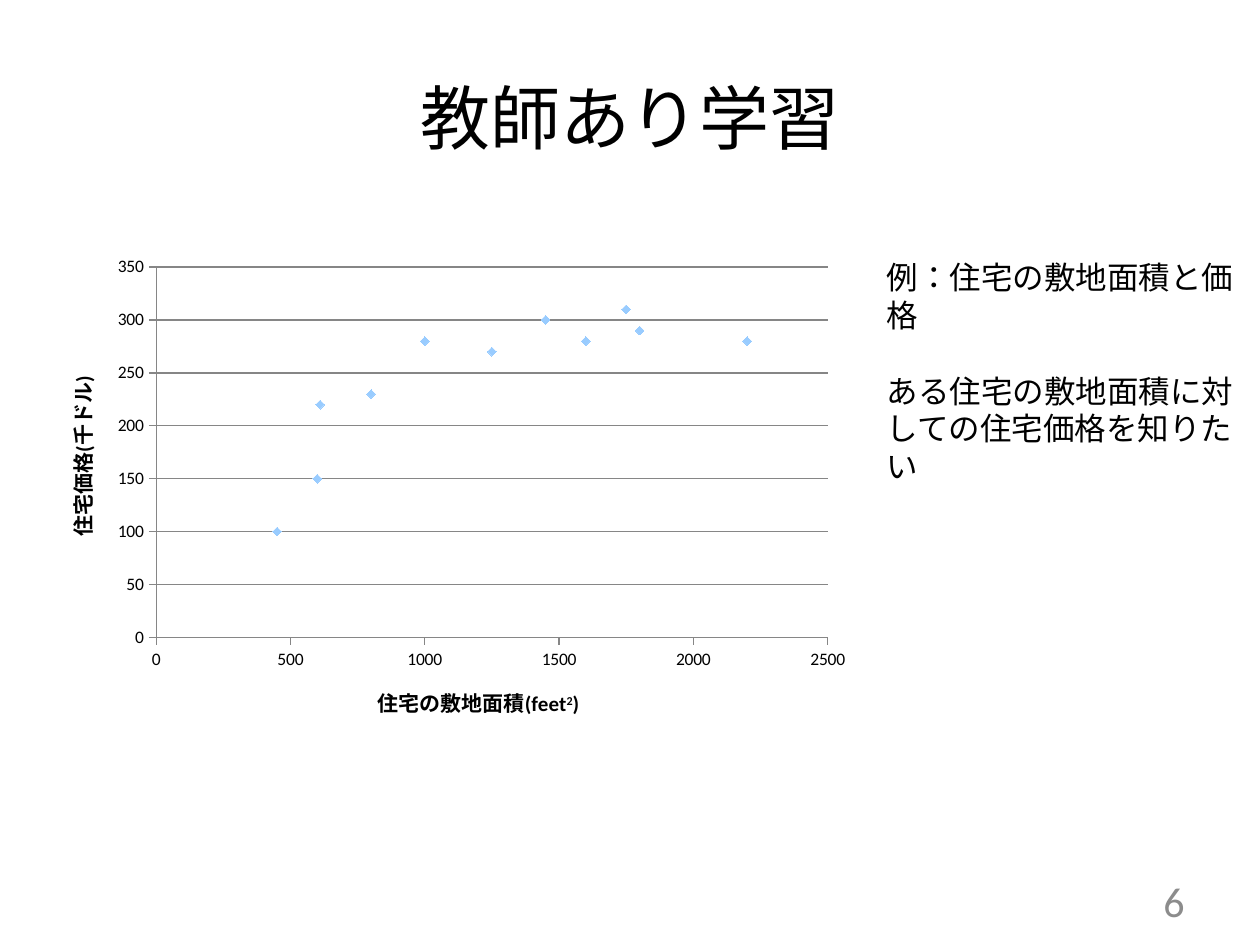
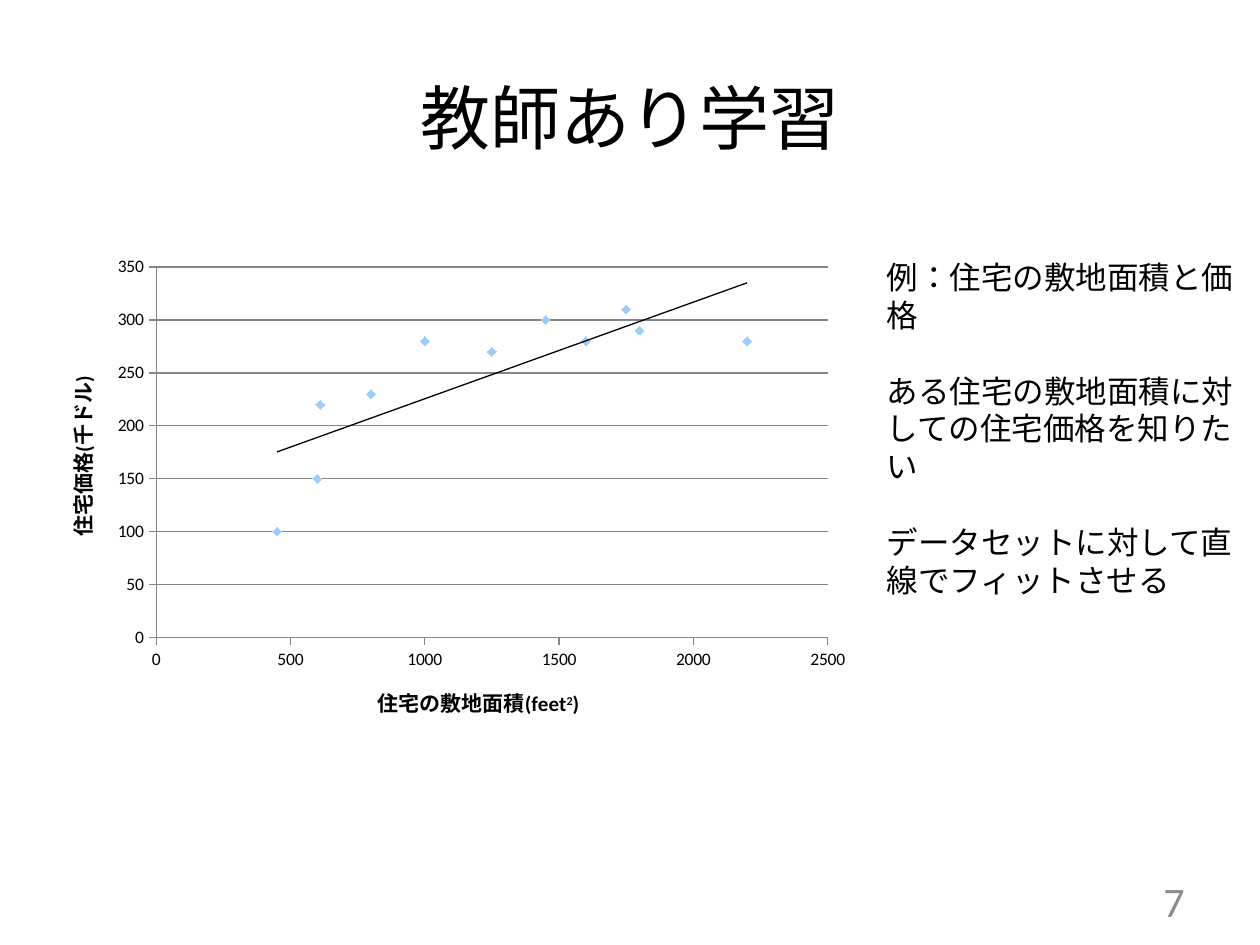
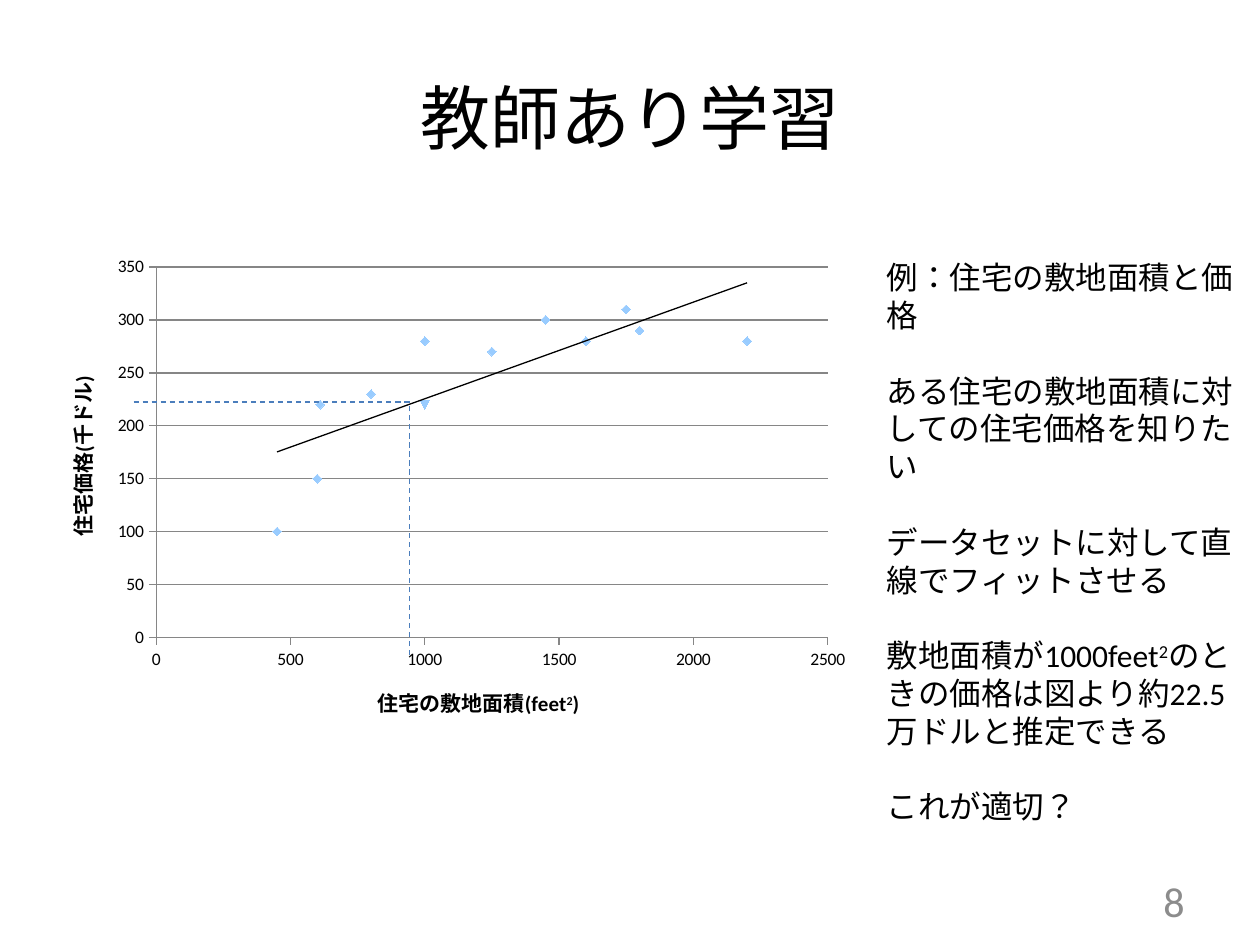
from lxml.etree import SubElement
from pptx import Presentation
from pptx.chart.data import XyChartData
from pptx.dml.color import RGBColor
from pptx.enum.chart import XL_CHART_TYPE as CT, XL_TICK_MARK as TICK
from pptx.enum.dml import MSO_LINE
from pptx.enum.lang import MSO_LANGUAGE_ID as LANG
from pptx.enum.shapes import MSO_CONNECTOR
from pptx.enum.text import MSO_ANCHOR, PP_ALIGN
from pptx.oxml import parse_xml
from pptx.oxml.ns import nsdecls, qn
from pptx.util import Inches, Pt

FONT = "Calibri"
COLORS = {"text": "000000", "number": "8C8C8C", "axis": "868686",
          "marker": "99CCFF", "guide": "4B7EBC"}

TITLE_BOX = (0.5, 0.3, 9, 1.25)
CHART_BOX = (0.28, 1.97, 6.56, 3.94)
PLOT_BOX = (0.96, 0.15, 5.33, 2.94)
NOTES_BOX = (6.94, 2, 3.03)
NUMBER_BOX = (7.17, 6.95, 2.33, 0.4)

TITLE = "教師あり学習"
AREA_TITLE = [("住宅の敷地面積(feet", False), ("2", True), (")", False)]
PRICE_TITLE = [("住宅価格(千ドル)", False)]
HOUSES = [(450, 100), (600, 150), (610, 220), (800, 230), (1000, 280), (1250, 270),
          (1450, 300), (1600, 280), (1750, 310), (1800, 290), (2200, 280)]
ESTIMATE = [(1000, 220)]
NOTES = [
    [("例：住宅の敷地面積と価格", False)],
    [("ある住宅の敷地面積に対しての住宅価格を知りたい", False)],
    [("データセットに対して直線でフィットさせる", False)],
    [("敷地面積が1000feet", False), ("2", True),
     ("のときの価格は図より約22.5万ドルと推定できる", False)],
    [("これが適切？", False)],
]


def rgb(name):
    return RGBColor.from_string(COLORS[name])


def inches(box):
    return [Inches(v) for v in box]


def style_font(font, size, color="text", bold=False):
    font.name, font.size, font.bold = FONT, Pt(size), bold
    font.color.rgb = rgb(color)


def add_runs(p, parts):
    for text, raised in parts:
        r = p.add_run()
        r.text = text
        r.font.language_id = LANG.JAPANESE
        if raised:
            r.font._element.set("baseline", "30000")


def set_layout(parent, index, **values):
    for old in parent.findall(qn("c:layout")):
        parent.remove(old)
    layout = parse_xml(f"<c:layout {nsdecls('c')}/>")
    manual = SubElement(layout, qn("c:manualLayout"))
    if "w" in values:
        SubElement(manual, qn("c:layoutTarget"), val="inner")
    for name, value in {"xMode": "edge", "yMode": "edge", **values}.items():
        SubElement(manual, qn(f"c:{name}"), val=str(value))
    parent.insert(index, layout)


def style_axis(axis, top, unit, parts, x, y):
    axis.minimum_scale, axis.maximum_scale, axis.major_unit = 0, top, unit
    axis.major_tick_mark = TICK.OUTSIDE
    axis.minor_tick_mark = TICK.NONE
    axis.format.line.color.rgb = rgb("axis")
    axis.tick_labels.number_format = "General"
    axis.tick_labels.number_format_is_linked = False
    p = axis.axis_title.text_frame.paragraphs[0]
    style_font(p.font, 12, bold=True)
    add_runs(p, parts)
    set_layout(axis.axis_title._element, 1, x=x, y=y)


def add_trend(series):
    trend = parse_xml(
        f"<c:trendline {nsdecls('c', 'a')}><c:spPr><a:ln w='9525'><a:solidFill>"
        f"<a:srgbClr val='{COLORS['text']}'/></a:solidFill></a:ln></c:spPr>"
        "<c:trendlineType val='linear'/><c:dispRSqr val='0'/><c:dispEq val='0'/>"
        "</c:trendline>")
    series._element.find(qn("c:xVal")).addprevious(trend)


def add_house_chart(s, box, groups, fitted):
    data = XyChartData()
    for i, points in enumerate(groups, 1):
        series = data.add_series(f"Series {i}")
        for x, y in points:
            series.add_data_point(x, y)
    chart = s.shapes.add_chart(CT.XY_SCATTER, *inches(box), data).chart
    chart.has_legend = chart.has_title = False
    style_font(chart.font, 10)
    style_axis(chart.category_axis, 2500, 500, AREA_TITLE, 0.41, 0.87)
    style_axis(chart.value_axis, 350, 50, PRICE_TITLE, 0.03, 0.25)
    chart.category_axis.has_major_gridlines = False
    chart.value_axis.has_major_gridlines = True
    chart.value_axis.major_gridlines.format.line.color.rgb = rgb("axis")
    plot = chart.plots[0]
    plot.vary_by_categories = False
    for series in plot.series:
        series.format.line.fill.background()
        series.marker.size = 5
        series.marker.format.fill.solid()
        series.marker.format.fill.fore_color.rgb = rgb("marker")
        series.marker.format.line.fill.background()
    if fitted:
        add_trend(plot.series[0])
    x, y, w, h = PLOT_BOX
    width, height = box[2:]
    set_layout(chart._chartSpace.chart.plotArea, 0,
               x=x / width, y=y / height, w=w / width, h=h / height)


def add_guides(s, box):
    left, top = box[:2]
    corner = (left + 2.97, top + 1.22)
    for start in [(corner[0], top + 3.23), (left + 0.78, corner[1])]:
        line = s.shapes.add_connector(MSO_CONNECTOR.STRAIGHT, *inches(start + corner))
        line.line.color.rgb = rgb("guide")
        line.line.width = Pt(0.75)
        line.line.dash_style = MSO_LINE.DASH
        SubElement(line._element.spPr, qn("a:effectLst"))


def add_notes(s, box, notes, height):
    tf = s.shapes.add_textbox(*inches(box + (height,))).text_frame
    tf.word_wrap = True
    for i, parts in enumerate(notes):
        p = tf.add_paragraph() if i else tf.paragraphs[0]
        style_font(p.font, 18)
        p.space_before = Pt(21.6 if i else 0)
        add_runs(p, parts)


def add_title(s, box):
    sp = s.shapes.title
    sp.left, sp.top, sp.width, sp.height = inches(box)
    tf = sp.text_frame
    tf.vertical_anchor = MSO_ANCHOR.MIDDLE
    p = tf.paragraphs[0]
    p.alignment = PP_ALIGN.CENTER
    style_font(p.font, 40)
    add_runs(p, [(TITLE, False)])


def add_number(s, box, number):
    tf = s.shapes.add_textbox(*inches(box)).text_frame
    tf.word_wrap = True
    tf.vertical_anchor = MSO_ANCHOR.MIDDLE
    p = tf.paragraphs[0]
    p.text = str(number)
    p.alignment = PP_ALIGN.RIGHT
    style_font(p.font, 24, "number")


def add_learning_slide(prs, number, notes, height, groups, fitted=True):
    s = prs.slides.add_slide(prs.slide_layouts[5])
    add_title(s, TITLE_BOX)
    add_notes(s, NOTES_BOX, notes, height)
    add_house_chart(s, CHART_BOX, groups, fitted)
    if len(groups) > 1:
        add_guides(s, CHART_BOX)
    add_number(s, NUMBER_BOX, number)


def main():
    prs = Presentation()
    prs.slide_width, prs.slide_height = Inches(10), Inches(7.5)
    add_learning_slide(prs, 6, NOTES[:2], 1.92, [HOUSES], fitted=False)
    add_learning_slide(prs, 7, NOTES[:3], 2.52, [HOUSES])
    add_learning_slide(prs, 8, NOTES, 4.04, [HOUSES, ESTIMATE])
    prs.save("out.pptx")


if __name__ == "__main__":
    main()
